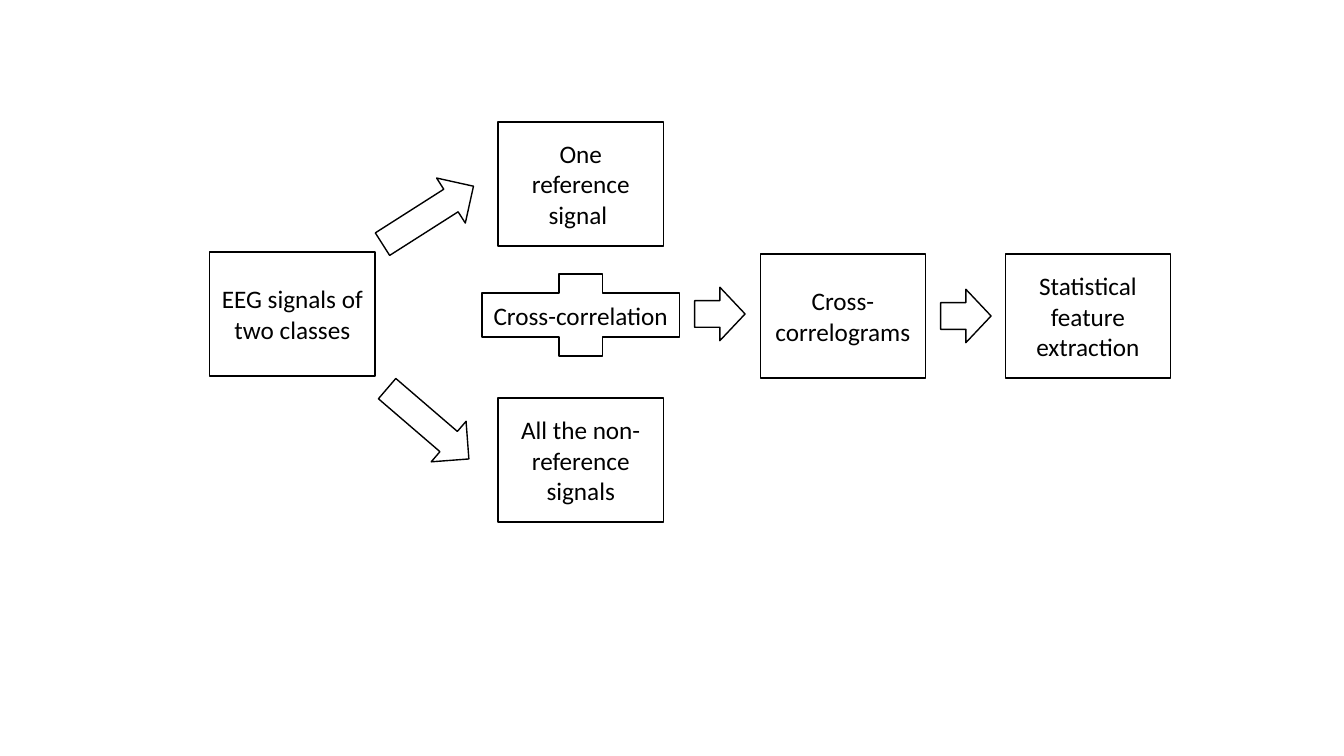
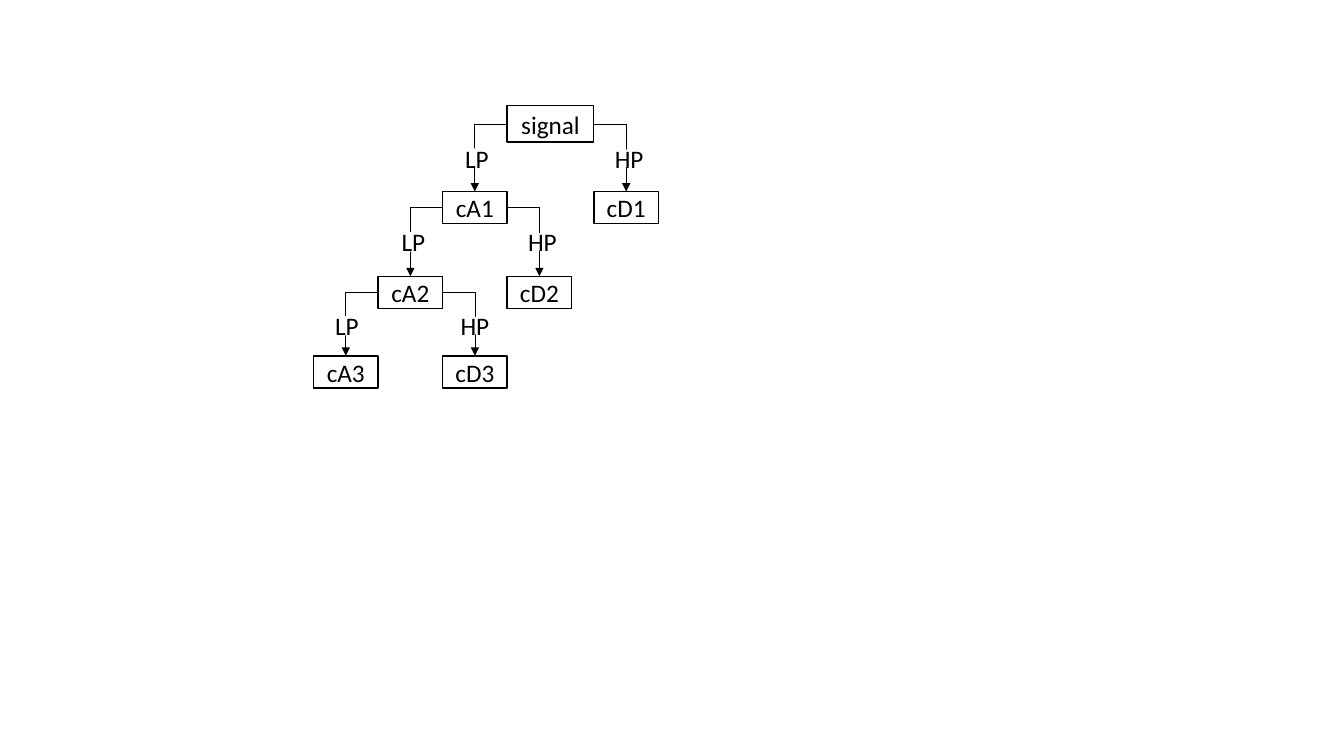
from dataclasses import dataclass

from lxml import etree
from pptx import Presentation
from pptx import util as u
from pptx.dml.color import RGBColor
from pptx.enum import shapes, text
from pptx.oxml.ns import qn

BLACK = RGBColor(0x00, 0x00, 0x00)
WHITE = RGBColor(0xFF, 0xFF, 0xFF)
FONT_FORMAT = {"name": "Calibri", "size": u.Pt(18)}
KIND = shapes.MSO_SHAPE
TOP, LEFT, RIGHT = 0, 1, 3  # connection sites of a rectangle

# Flow slide: columns and rows of the boxes, in inches
BOX_WIDTH, BOX_HEIGHT = 1.64, 1.23
COLUMNS = (2.08, 4.94, 7.54, 9.97)
ROWS = {"upper": 1.21, "source": 2.5, "result": 2.52, "lower": 3.95}
ARROW_HEIGHT, SHORT_ARROW, LONG_ARROW = 0.53, 0.5, 1.07

# Tree slide: each child is centred one half node beyond its parent's side
ROOT_WIDTH, ROOT_HEIGHT = 0.86, 0.36
NODE_WIDTH, NODE_HEIGHT = 0.64, 0.32
ROOT_CENTER = 5.46
ROOT_TOP = 1.05
LABEL_CENTER, LABEL_STEP = 1.57, 0.83


@dataclass(frozen=True)
class Step:
    caption: str
    column: int
    row: str


@dataclass(frozen=True)
class Arrow:
    left: float
    top: float
    length: float = SHORT_ARROW
    rotation: float = 0


@dataclass(frozen=True)
class Branch:
    """One side of a split: its filter, child prefix, direction and label size."""
    filter_name: str
    child_prefix: str
    direction: int
    site: int
    label_width: float
    label_height: float


@dataclass(frozen=True)
class Level:
    top: float
    label_shifts: tuple[float, float]


STEPS = (
    Step("One reference signal ", 1, "upper"),
    Step("All the non-reference signals", 1, "lower"),
    Step("EEG signals of two classes", 0, "source"),
    Step("Cross-correlograms", 2, "result"),
    Step("Statistical feature extraction", 3, "result"),
)
ARROWS = (
    Arrow(6.89, 2.85),
    Arrow(3.71, 1.87, LONG_ARROW, 327.5),
    Arrow(3.71, 3.94, LONG_ARROW, 40.7),
    Arrow(9.33, 2.87),
)
BRANCHES = (
    Branch("LP", "cA", -1, LEFT, 0.68, 0.18),
    Branch("HP", "cD", 1, RIGHT, 0.71, 0.16),
)
LEVELS = (
    Level(1.9, (0.02, 0.03)),
    Level(2.74, (0.03, 0.03)),
    Level(3.53, (0.01, 0)),
)


def add_block(slide, kind, left: float, top: float, width: float, height: float,
              caption: str = "", outline: RGBColor = BLACK):
    """Add a white outlined shape with a centred caption."""
    block = slide.shapes.add_shape(kind, *map(u.Inches, (left, top, width, height)))
    block.shadow.inherit = False
    block.fill.solid()
    block.fill.fore_color.rgb = WHITE
    block.line.color.rgb = outline
    block.line.width = u.Pt(1)
    if caption:
        block.text_frame.text = caption
        paragraph = block.text_frame.paragraphs[0]
        paragraph.alignment = text.PP_ALIGN.CENTER
        font = paragraph.runs[0].font
        for name, value in FONT_FORMAT.items():
            setattr(font, name, value)
        font.color.rgb = BLACK
    return block


def add_elbow(slide, parent, site: int, child) -> None:
    """Join a parent's side to the top of a child with a one-bend arrow."""
    elbow = slide.shapes.add_connector(shapes.MSO_CONNECTOR.ELBOW, 0, 0, 0, 0)
    elbow.begin_connect(parent, site)
    elbow.end_connect(child, TOP)
    elbow.line.color.rgb = BLACK
    elbow.line.width = u.Pt(0.5)
    properties = elbow.element.spPr
    properties.find(qn("a:prstGeom")).set("prst", "bentConnector2")
    etree.SubElement(properties.find(qn("a:ln")), qn("a:tailEnd"), type="triangle")
    etree.SubElement(properties, qn("a:effectLst"))


def build_flow(slide) -> None:
    for step in STEPS:
        add_block(slide, KIND.RECTANGLE, COLUMNS[step.column], ROWS[step.row],
                  BOX_WIDTH, BOX_HEIGHT, step.caption)
    plus = add_block(slide, KIND.MATH_PLUS, 4.43, 2.57, 2.66, 1.11, "Cross-correlation")
    plus.adjustments[0] = 0.39
    for arrow in ARROWS:
        block = add_block(slide, KIND.RIGHT_ARROW, arrow.left, arrow.top,
                          arrow.length, ARROW_HEIGHT)
        block.rotation = arrow.rotation


def build_tree(slide) -> None:
    parent_center, parent_width = ROOT_CENTER, ROOT_WIDTH
    parent = add_block(slide, KIND.RECTANGLE, ROOT_CENTER - ROOT_WIDTH / 2, ROOT_TOP,
                       ROOT_WIDTH, ROOT_HEIGHT, "signal")
    for index, level in enumerate(LEVELS):
        reach = (parent_width + NODE_WIDTH) / 2
        label_middle = LABEL_CENTER + index * LABEL_STEP
        children = []
        for branch, shift in zip(BRANCHES, level.label_shifts):
            center = parent_center + branch.direction * reach
            child = add_block(slide, KIND.RECTANGLE, center - NODE_WIDTH / 2, level.top,
                              NODE_WIDTH, NODE_HEIGHT, f"{branch.child_prefix}{index + 1}")
            add_elbow(slide, parent, branch.site, child)
            add_block(slide, KIND.OVAL, center + shift - branch.label_width / 2,
                      label_middle - branch.label_height / 2, branch.label_width,
                      branch.label_height, branch.filter_name, WHITE)
            children.append(child)
        parent = children[0]
        parent_center, parent_width = parent_center - reach, NODE_WIDTH


def main() -> None:
    deck = Presentation()
    deck.slide_width, deck.slide_height = u.Inches(13.33), u.Inches(7.5)
    blank = deck.slide_layouts[6]
    for build in (build_flow, build_tree):
        build(deck.slides.add_slide(blank))
    deck.save("out.pptx")


if __name__ == "__main__":
    main()
